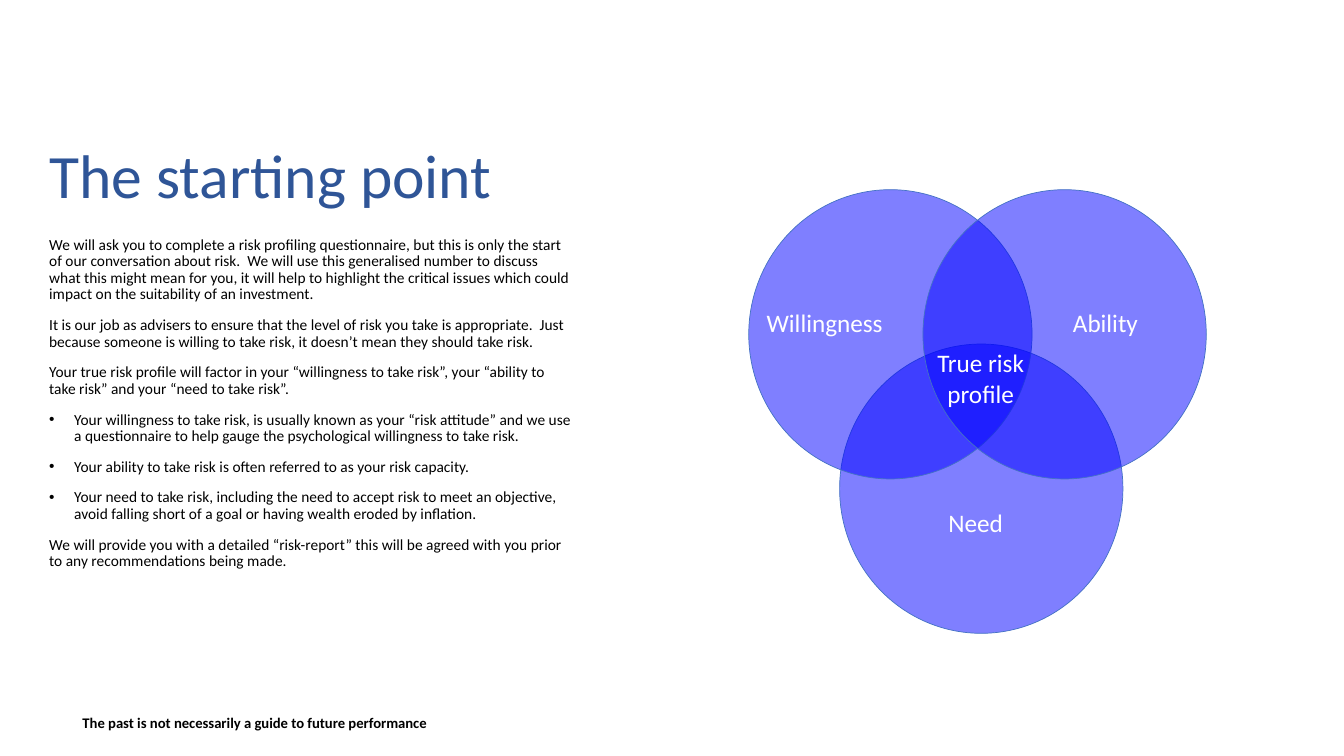
from lxml.etree import SubElement
from pptx import Presentation
from pptx.dml.color import RGBColor
from pptx.enum.shapes import MSO_SHAPE as Shape
from pptx.enum.text import MSO_ANCHOR as Anchor, MSO_AUTO_SIZE as AutoSize, PP_ALIGN as Align
from pptx.oxml.ns import qn
from pptx.util import Cm, Pt

TITLE_FORMAT = {"size": Pt(44), "bold": False}
BODY_FORMAT = {"size": Pt(11)}
LABEL_FORMAT = {"size": Pt(18)}
FOOTNOTE_FORMAT = {"size": Pt(10.5), "bold": True}

# Body paragraphs: (bulleted, wording)
BODY = [
    (False, "We will ask you to complete a risk profiling questionnaire, but this is only the "
            "start of our conversation about risk.  We will use this generalised number to "
            "discuss what this might mean for you, it will help to highlight the critical "
            "issues which could impact on the suitability of an investment."),
    (False, "It is our job as advisers to ensure that the level of risk you take is "
            "appropriate.  Just because someone is willing to take risk, it doesn’t mean they "
            "should take risk."),
    (False, "Your true risk profile will factor in your “willingness to take risk”, your "
            "“ability to take risk” and your “need to take risk”."),
    (True, "Your willingness to take risk, is usually known as your “risk attitude” and we use "
           "a questionnaire to help gauge the psychological willingness to take risk."),
    (True, "Your ability to take risk is often referred to as your risk capacity."),
    (True, "Your need to take risk, including the need to accept risk to meet an objective, "
           "avoid falling short of a goal or having wealth eroded by inflation."),
    (False, "We will provide you with a detailed “risk-report” this will be agreed with you "
            "prior to any recommendations being made."),
]

# Offsets from the top left of the diagram, in cm
CIRCLE_SIZE = (7.14, 7.29)
CIRCLES = [(2.29, 3.89), (0, 0), (4.39, 0)]
# Labels: wording, left, top, width, height, alignment
LABELS = [
    ("Willingness", 0.2, 2.84, 4.8, 1.02, Align.LEFT),
    ("Ability", 7.92, 2.84, 4.8, 1.02, Align.LEFT),
    ("Need", 4.78, 7.87, 4.8, 1.02, Align.LEFT),
    ("True risk profile", 4.04, 3.86, 3.61, 1.8, Align.CENTER),
]


def color(hex_text):
    return RGBColor.from_string(hex_text)


def format_font(font, values, hex_text):
    for attribute, value in {"name": "Calibri", **values}.items():
        setattr(font, attribute, value)
    font.color.rgb = color(hex_text)


def add_text(slide, box, wording, values, hex_text, align=Align.LEFT):
    frame = slide.shapes.add_textbox(*map(Cm, box)).text_frame
    frame.word_wrap = True
    paragraph = frame.paragraphs[0]
    paragraph.text = wording
    paragraph.alignment = align
    format_font(paragraph.font, values, hex_text)


def add_title(slide, box):
    title = slide.shapes.title
    title.left, title.top, title.width, title.height = map(Cm, box)
    frame = title.text_frame
    frame.text = "The starting point"
    frame.auto_size = AutoSize.NONE
    frame.vertical_anchor = Anchor.MIDDLE
    heading = frame.paragraphs[0]
    heading.alignment = Align.LEFT
    heading.line_spacing = 0.9
    format_font(heading.font, TITLE_FORMAT, "2F5597")


def add_body(slide, box):
    frame = slide.shapes.add_textbox(*map(Cm, box)).text_frame
    frame.word_wrap = True
    for index, (bulleted, wording) in enumerate(BODY):
        paragraph = frame.add_paragraph() if index else frame.paragraphs[0]
        if bulleted:
            properties = paragraph._p.get_or_add_pPr()
            properties.set("marL", str(Cm(0.63)))
            properties.set("indent", str(-Cm(0.63)))
            SubElement(properties, qn("a:buFont"), typeface="Arial")
            SubElement(properties, qn("a:buChar"), char="•")
        paragraph.text = wording
        paragraph.line_spacing = 0.9
        paragraph.space_before = Pt(10 if index else 0)
        format_font(paragraph.font, BODY_FORMAT, "000000")


def add_venn(slide, left, top):
    # Overlapping half-transparent circles
    for across, down in CIRCLES:
        circle = slide.shapes.add_shape(
            Shape.OVAL, *map(Cm, (left + across, top + down, *CIRCLE_SIZE)))
        circle.shadow.inherit = False
        circle.fill.solid()
        circle.fill.fore_color.rgb = color("0000FF")
        fill_color = circle._element.spPr.find(qn("a:solidFill"))[0]
        SubElement(fill_color, qn("a:alpha"), val="50000")
        circle.line.color.rgb = color("4472C4")
        circle.line.width = Pt(0.5)
    # Labels
    for wording, across, down, width, height, align in LABELS:
        add_text(slide, (left + across, top + down, width, height),
                 wording, LABEL_FORMAT, "FFFFFF", align)


def main():
    deck = Presentation()
    deck.slide_width, deck.slide_height = Cm(33.87), Cm(19.05)
    slide = deck.slides.add_slide(deck.slide_layouts[5])
    add_body(slide, (0.99, 5.84, 13.67, 10.52))
    add_title(slide, (0.99, 2.18, 13.46, 4.65))
    add_venn(slide, 18.87, 4.78)
    # Footnote
    add_text(slide, (1.83, 17.86, 18.06, 0.71),
             "The past is not necessarily a guide to future performance",
             FOOTNOTE_FORMAT, "000000")
    deck.save("out.pptx")


if __name__ == "__main__":
    main()
